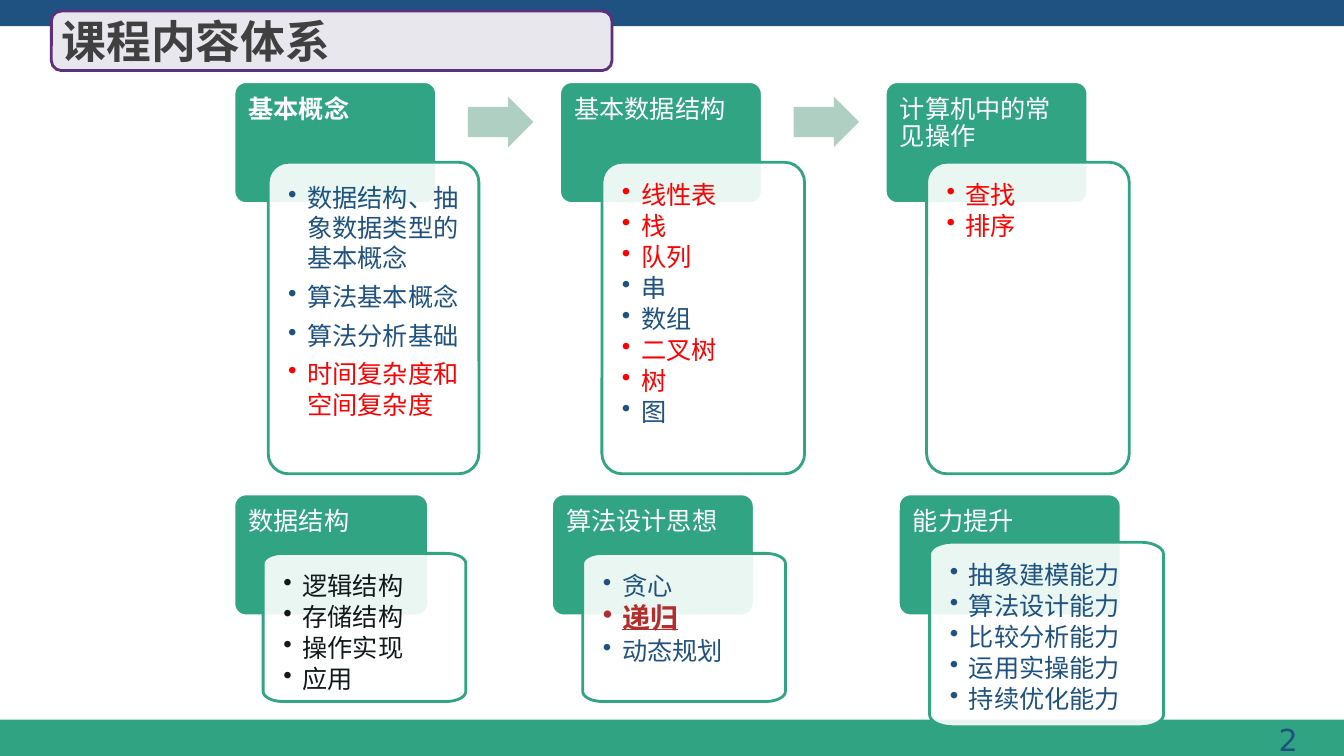
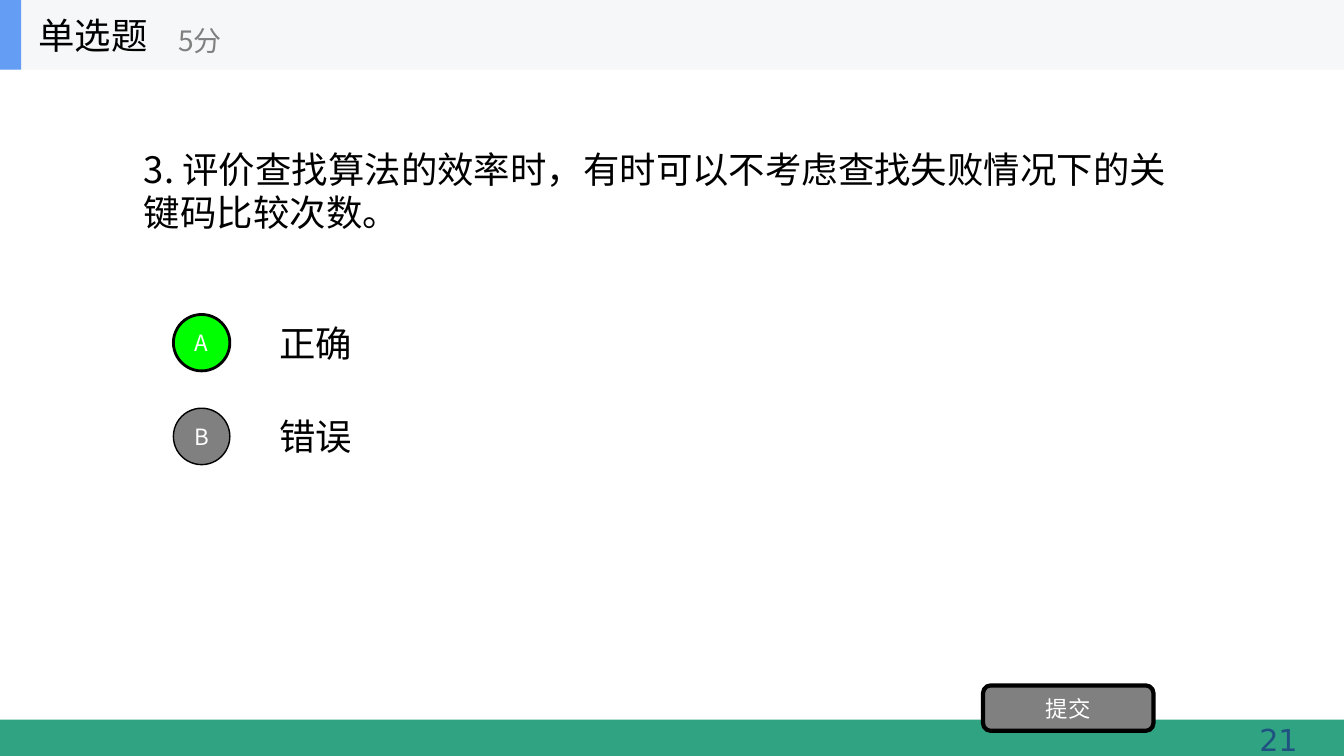
from math import cos, pi, sin

from lxml.etree import SubElement
from pptx import Presentation
from pptx.dml.color import RGBColor
from pptx.enum.shapes import MSO_SHAPE
from pptx.enum.text import MSO_ANCHOR, MSO_AUTO_SIZE, PP_ALIGN
from pptx.oxml.ns import qn
from pptx.util import Emu, Pt

PX = 9144  # one px is a hundredth of an inch
WIDTH, HEIGHT = 1333, 750
TITLE_ONLY = 5
ROUND_TEXT_INSET = 0.29  # share of the corner radius a rounded rectangle keeps free

COLORS = {
    "green": "30A483", "footer": "30A383", "navy": "1F5281", "arrow": "AECFC1",
    "white": "FFFFFF", "black": "000000", "ink": "12191A", "red": "FF0000",
    "brick": "B42D2D", "title": "404040", "title_fill": "E7E7ED",
    "purple": "5C307D", "gray": "808080", "header": "F6F7F8",
    "blue": "639EF4", "correct": "00FF00",
}
SANS = "DejaVu Sans"
CJK = "Noto Sans CJK SC"

# Cards: heading, heading box, body box, corner radii, body items with colours
HEADING_LEFT, HEADING_STEP = 232, 323
UPPER_TOP, LOWER_TOP = 81, 490
UPPER_CORNER, LOWER_CORNER = (20, 20), (20, 10)
CARDS = [
    ("基本概念", (HEADING_LEFT, UPPER_TOP, 201, 121), (266, 161, 209, 309), UPPER_CORNER,
     [("数据结构、抽象数据类型的基本概念", "navy"), ("算法基本概念", "navy"),
      ("算法分析基础", "navy"), ("时间复杂度和空间复杂度", "red")]),
    ("基本数据结构", (HEADING_LEFT + HEADING_STEP, UPPER_TOP, 201, 121),
     (597, 161, 201, 309), UPPER_CORNER,
     [("线性表", "red"), ("栈", "red"), ("队列", "red"), ("串", "navy"),
      ("数组", "navy"), ("二叉树", "red"), ("树", "red"), ("图", "navy")]),
    ("计算机中的常见操作", (HEADING_LEFT + 2 * HEADING_STEP, UPPER_TOP, 201, 121),
     (919, 161, 201, 309), UPPER_CORNER,
     [("查找", "red"), ("排序", "red")]),
    ("算法设计思想", (547, LOWER_TOP, 201, 121), (578, 549, 201, 147), LOWER_CORNER,
     [("贪心", "navy"), ("递归", "brick"), ("动态规划", "navy")]),
    ("能力提升", (891, LOWER_TOP, 221, 121), (922, 538, 232, 183), (23, 12),
     [("抽象建模能力", "navy"), ("算法设计能力", "navy"), ("比较分析能力", "navy"),
      ("运用实操能力", "navy"), ("持续优化能力", "navy")]),
    ("数据结构", (HEADING_LEFT, LOWER_TOP, 193, 121), (261, 549, 201, 147), LOWER_CORNER,
     [("逻辑结构", "ink"), ("存储结构", "ink"), ("操作实现", "ink"), ("应用", "ink")]),
]
OPTIONS = [("A", "正确", "correct", 2), ("B", "错误", "gray", 1)]


def color(name):
    return RGBColor.from_string(COLORS[name])


def emu(box):
    return [Emu(length * PX) for length in box]


def style_shape(shape, fill, line=None, line_width=2):
    shape.shadow.inherit = False
    shape.fill.solid()
    shape.fill.fore_color.rgb = color(fill)
    if line:
        shape.line.color.rgb = color(line)
        shape.line.width = Pt(line_width)
    else:
        shape.line.fill.background()
    return shape


def add_shape(slide, kind, box, fill, line=None, line_width=2):
    shape = slide.shapes.add_shape(kind, *emu(box))
    return style_shape(shape, fill, line, line_width)


def add_run(paragraph, text, size, color_name, font=CJK, bold=False, underline=False):
    run = paragraph.add_run()
    run.text = text
    run.font.name = font
    run.font.size = Pt(size)
    run.font.bold = bold
    run.font.underline = underline
    run.font.color.rgb = color(color_name)
    SubElement(run.font._element, qn("a:ea"), typeface=font)


def prepare_frame(shape, anchor=MSO_ANCHOR.MIDDLE, insets=(10, 5, 10, 5)):
    frame = shape.text_frame
    frame.word_wrap = True
    frame.auto_size = MSO_AUTO_SIZE.NONE
    frame.vertical_anchor = anchor
    (frame.margin_left, frame.margin_top,
     frame.margin_right, frame.margin_bottom) = emu([round(inset) for inset in insets])
    return frame


def write_line(shape, text, size, color_name, align=PP_ALIGN.LEFT,
               anchor=MSO_ANCHOR.MIDDLE, font=CJK, bold=False):
    paragraph = prepare_frame(shape, anchor).paragraphs[0]
    paragraph.alignment = align
    add_run(paragraph, text, size, color_name, font, bold)
    return paragraph


def add_text(slide, box, *args, **options):
    return write_line(slide.shapes.add_textbox(*emu(box)), *args, **options)


def place_title(slide, box, text, size, color_name, bold=False):
    title = slide.shapes.title
    title.left, title.top, title.width, title.height = emu(box)
    write_line(title, text, size, color_name, bold=bold)
    slide.shapes._spTree.append(title._element)  # bring to the front


def add_base_slide(presentation, number):
    """Slide with the shared bands and number."""
    slide = presentation.slides.add_slide(presentation.slide_layouts[TITLE_ONLY])
    add_shape(slide, MSO_SHAPE.RECTANGLE, (0, 714, WIDTH, 36), "footer")
    add_shape(slide, MSO_SHAPE.RECTANGLE, (0, 0, WIDTH, 26), "navy")
    add_text(slide, (1003, 711, 294, 46), str(number), 21.6, "navy",
             PP_ALIGN.RIGHT, MSO_ANCHOR.TOP, SANS)
    return slide


def add_rounded(slide, box, radius):
    shape = slide.shapes.add_shape(MSO_SHAPE.ROUNDED_RECTANGLE, *emu(box))
    shape.adjustments[0] = radius / min(box[2:])
    return shape


def add_oval_cornered(slide, box, radius_x, radius_y, steps=10):
    """Rectangle whose corners are quarter ellipses."""
    left, top, width, height = box
    right, bottom = left + width - radius_x, top + height - radius_y
    centers = [(right, bottom), (left + radius_x, bottom),
               (left + radius_x, top + radius_y), (right, top + radius_y)]
    points = []
    for quarter, (center_x, center_y) in enumerate(centers):
        for step in range(steps + 1):
            angle = (quarter + step / steps) * pi / 2
            points.append((round((center_x + radius_x * cos(angle)) * PX),
                           round((center_y + radius_y * sin(angle)) * PX)))
    builder = slide.shapes.build_freeform(*points[0], scale=1.0)
    builder.add_line_segments(points[1:], close=True)
    return builder.convert_to_shape()


def add_bullet(paragraph):
    properties = paragraph._p.get_or_add_pPr()
    properties.set("marL", str(19 * PX))
    properties.set("indent", str(-19 * PX))
    SubElement(properties, qn("a:buChar"), char="•")


def add_card(slide, heading, heading_box, body_box, corner, items, leading=False):
    # Heading
    radius = 12
    shape = style_shape(add_rounded(slide, heading_box, radius), "green", "white")
    kept = radius * ROUND_TEXT_INSET
    frame = prepare_frame(shape, MSO_ANCHOR.TOP, (14 - kept, 14 - kept, 14 - kept, 48 - kept))
    paragraph = frame.paragraphs[0]
    paragraph.alignment = PP_ALIGN.LEFT
    paragraph.line_spacing = 0.9
    add_run(paragraph, heading, 18, "white", SANS, bold=leading)

    # Body
    radius_x, radius_y = corner
    if radius_x == radius_y:
        shape = add_rounded(slide, body_box, radius_x)
        kept = radius_x * ROUND_TEXT_INSET
    else:
        shape = add_oval_cornered(slide, body_box, radius_x, radius_y)
        kept = 0
    style_shape(shape, "white", "green")
    fill_color = shape._element.spPr.find(qn("a:solidFill"))[0]
    SubElement(fill_color, qn("a:alpha"), val="90000")
    frame = prepare_frame(shape, MSO_ANCHOR.TOP, [20 - kept] * 4)
    for index, (text, color_name) in enumerate(items):
        paragraph = frame.add_paragraph() if index else frame.paragraphs[0]
        add_bullet(paragraph)
        paragraph.alignment = PP_ALIGN.LEFT
        paragraph.line_spacing = 1.0 if leading else 0.9
        paragraph.space_after = Pt(6 if leading else 2.7)
        key = color_name == "brick"
        add_run(paragraph, text, 20 if key else 18, color_name, SANS, key, key)


def build_course_slide(presentation):
    slide = add_base_slide(presentation, 2)
    for index, card in enumerate(CARDS):
        add_card(slide, *card, leading=index == 0)

    # Arrows between the upper cards
    for index in range(2):
        arrow = add_shape(slide, MSO_SHAPE.RIGHT_ARROW,
                          (464 + index * HEADING_STEP, 96, 65, 50), "arrow")
        arrow.adjustments[0] = 0.6
        arrow.adjustments[1] = 0.5

    # Title
    title_box = (51, 11, 556, 59)
    add_shape(slide, MSO_SHAPE.ROUNDED_RECTANGLE, title_box, "title_fill", "purple")
    place_title(slide, title_box, "课程内容体系", 32, "title", bold=True)


def build_question_slide(presentation):
    slide = add_base_slide(presentation, 21)

    # Question and options
    question = add_text(slide, (133, 72, 1067, 234),
                        "3. 评价查找算法的效率时，有时可以不考虑查找失败情况下的关键码比较次数。",
                        26, "black")
    question.line_spacing = Pt(31)
    for index, (letter, answer, fill, line_width) in enumerate(OPTIONS):
        top = 305 + index * 93
        add_text(slide, (267, top, 933, 70), answer, 26, "black")
        badge = add_shape(slide, MSO_SHAPE.OVAL, (172, top + 7, 56, 56),
                          fill, "black", line_width)
        write_line(badge, letter, 16, "white", PP_ALIGN.CENTER)

    # Submit button
    button = add_shape(slide, MSO_SHAPE.ROUNDED_RECTANGLE, (975, 680, 169, 45),
                       "gray", "black", 3)
    write_line(button, "提交", 16, "white", PP_ALIGN.CENTER)

    # Header
    add_shape(slide, MSO_SHAPE.RECTANGLE, (0, 0, WIDTH, 69), "header")
    add_shape(slide, MSO_SHAPE.RECTANGLE, (0, 0, 21, 69), "blue")
    place_title(slide, (28, 0, 208, 69), "单选题", 26, "black")
    add_text(slide, (167, 12, 250, 56), "5分", 20, "gray")


def main():
    presentation = Presentation()
    presentation.slide_width, presentation.slide_height = emu((WIDTH, HEIGHT))
    build_course_slide(presentation)
    build_question_slide(presentation)
    presentation.save("out.pptx")


if __name__ == "__main__":
    main()
